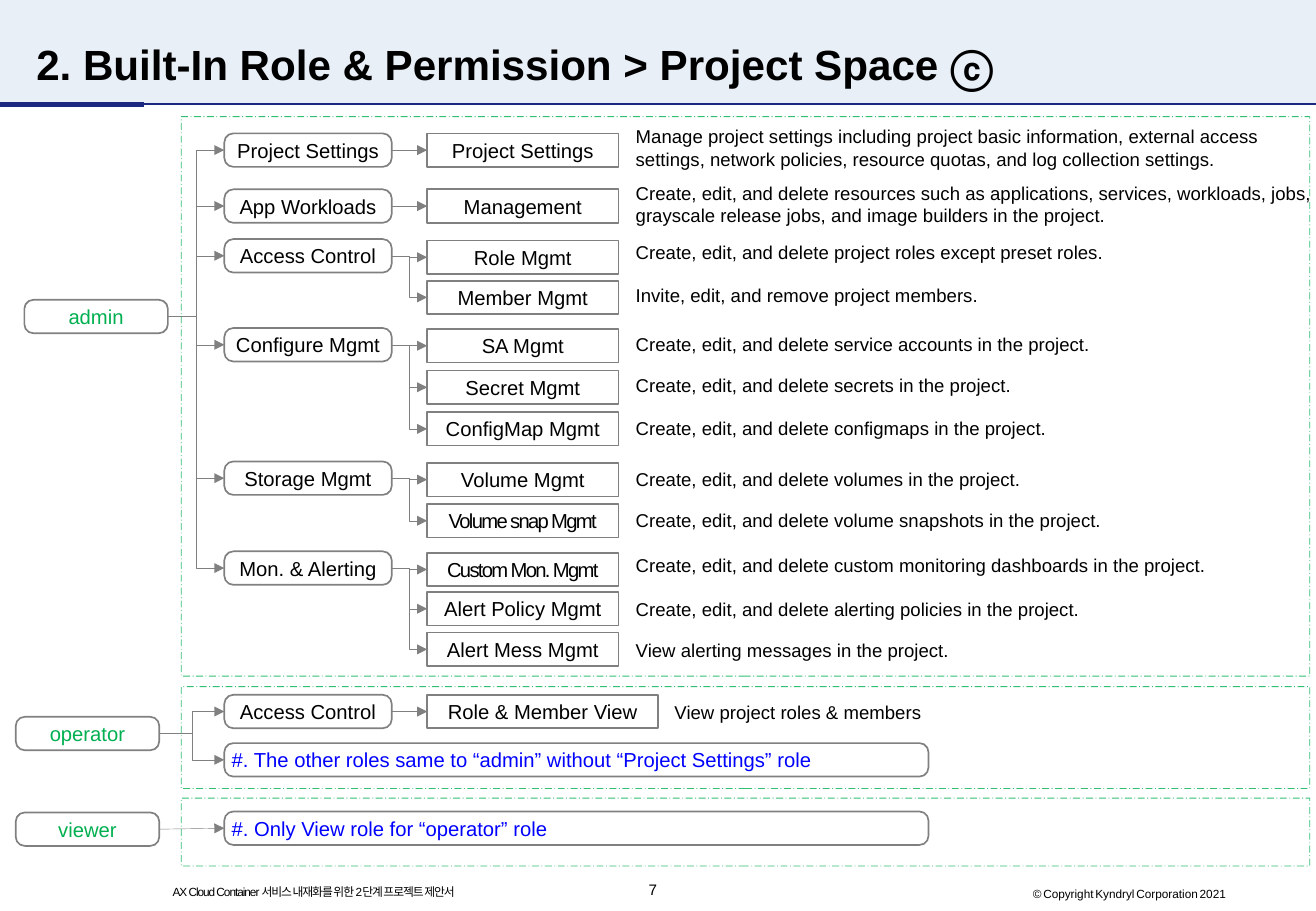
from lxml.etree import SubElement
from pptx import Presentation
from pptx.dml.color import RGBColor
from pptx.enum.dml import MSO_LINE
from pptx.enum.shapes import MSO_CONNECTOR, MSO_SHAPE
from pptx.enum.text import MSO_ANCHOR, PP_ALIGN
from pptx.oxml.ns import qn
from pptx.util import Cm, Pt

COLORS = {
    "ink": "000000", "band": "E9EFF7", "navy": "1C2880",
    "gray": "808080", "green": "00B050", "blue": "0000FF",
}
PAGE_WIDTH, PAGE_HEIGHT = 27.51, 19.05
BAND_HEIGHT = 2.18
BOX_HEIGHT = 0.7
LINE_HEIGHT = 0.47
ROLE_WIDTH = 3
GROUP_LEFT, GROUP_WIDTH = 4.69, 3.5
ACTION_LEFT, ACTION_WIDTH = 8.93, 4
DETAIL_LEFT, DETAIL_WIDTH = 13.29, 14.43
NOTE_WIDTH = 14.72
FRAME_LEFT, FRAME_WIDTH = 3.79, 23.59

ADMIN_GROUPS = [
    ("Project Settings", 2.79, [
        ("Project Settings", 2.79, 2.62, "Manage project settings including project basic information, external "
         "access settings, network policies, resource quotas, and log collection settings."),
    ]),
    ("App Workloads", 3.96, [
        ("Management", 3.96, 3.81, "Create, edit, and delete resources such as applications, services, workloads, "
         "jobs, grayscale release jobs, and image builders in the project."),
    ]),
    ("Access Control", 5, [
        ("Role Mgmt", 5.03, 5.03, "Create, edit, and delete project roles except preset roles."),
        ("Member Mgmt", 5.87, 5.94, "Invite, edit, and remove project members."),
    ]),
    ("Configure Mgmt", 6.86, [
        ("SA Mgmt", 6.88, 6.96, "Create, edit, and delete service accounts in the project."),
        ("Secret Mgmt", 7.75, 7.82, "Create, edit, and delete secrets in the project."),
        ("ConfigMap Mgmt", 8.62, 8.71, "Create, edit, and delete configmaps in the project."),
    ]),
    ("Storage Mgmt", 9.65, [
        ("Volume Mgmt", 9.68, 9.78, "Create, edit, and delete volumes in the project."),
        ("Volume snap Mgmt", 10.54, 10.64, "Create, edit, and delete volume snapshots in the project."),
    ]),
    ("Mon. & Alerting", 11.53, [
        ("Custom Mon. Mgmt", 11.56, 11.58, "Create, edit, and delete custom monitoring dashboards in the project."),
        ("Alert Policy Mgmt", 12.38, 12.5, "Create, edit, and delete alerting policies in the project."),
        ("Alert Mess Mgmt", 13.23, 13.36, "View alerting messages in the project."),
    ]),
]
TIGHT_ACTIONS = ("Volume snap Mgmt", "Custom Mon. Mgmt")
FRAMES = [(2.44, 11.7), (14.36, 2.13), (16.69, 1.42)]


def set_all(target, values):
    for name, value in values.items():
        setattr(target, name, value)


class RolePage:
    font_name = "Arial"

    def __init__(self, deck):
        self.page = deck.slides.add_slide(deck.slide_layouts[6])

    def color(self, name):
        return RGBColor.from_string(COLORS[name])

    def fill_text(self, box, spans, color="ink", inset=0, align=PP_ALIGN.LEFT,
                  anchor=MSO_ANCHOR.MIDDLE, wrap=True, bold=False, spacing=0):
        frame = box.text_frame
        set_all(frame, {"word_wrap": wrap, "vertical_anchor": anchor})
        set_all(frame, {f"margin_{side}": Cm(inset) for side in ("left", "top", "right", "bottom")})
        para = frame.paragraphs[0]
        para.alignment = align
        for text, size in spans:
            span = para.add_run()
            span.text = text
            set_all(span.font, {"name": self.font_name, "size": Pt(size), "bold": bold})
            span.font.color.rgb = self.color(color)
            if spacing:
                span.font._element.set("spc", str(round(spacing * 100)))

    def text(self, left, top, width, height, spans, **style):
        box = self.page.shapes.add_textbox(Cm(left), Cm(top), Cm(width), Cm(height))
        self.fill_text(box, spans, **style)

    def shape(self, kind, left, top, width, height, fill=None, line=None, weight=1):
        box = self.page.shapes.add_shape(kind, Cm(left), Cm(top), Cm(width), Cm(height))
        box.shadow.inherit = False
        if fill:
            box.fill.solid()
            box.fill.fore_color.rgb = self.color(fill)
        else:
            box.fill.background()
        if line:
            box.line.color.rgb = self.color(line)
            box.line.width = Pt(weight)
        else:
            box.line.fill.background()
        return box

    def label(self, left, top, width, text, rounding=0.27, align=PP_ALIGN.CENTER, **style):
        box = self.shape(MSO_SHAPE.ROUNDED_RECTANGLE, left, top, width, BOX_HEIGHT, line="gray")
        box.adjustments[0] = rounding
        self.fill_text(box, [(text, 12)], inset=0.1, align=align, **style)
        return box

    def role(self, left, top, text):
        return self.label(left, top, ROLE_WIDTH, text, color="green")

    def group(self, top, text):
        return self.label(GROUP_LEFT, top, GROUP_WIDTH, text)

    def action(self, top, text, width=ACTION_WIDTH):
        spacing = -1 if text in TIGHT_ACTIONS else 0
        return self.label(ACTION_LEFT, top, width, text, rounding=0, spacing=spacing)

    def note(self, top, text):
        return self.label(GROUP_LEFT, top, NOTE_WIDTH, text, align=PP_ALIGN.LEFT, color="blue")

    def detail(self, top, text, left=DETAIL_LEFT, width=DETAIL_WIDTH):
        height = LINE_HEIGHT * (2 if len(text) > 80 else 1)
        self.text(left, top, width, height, [(text, 11)], anchor=MSO_ANCHOR.TOP)

    def line(self, kind, ends, color, weight):
        link = self.page.shapes.add_connector(kind, *map(Cm, ends))
        link.line.color.rgb = self.color(color)
        link.line.width = Pt(weight)
        SubElement(link._element.spPr, qn("a:effectLst"))
        return link

    def arrow(self, source, target, kind=MSO_CONNECTOR.STRAIGHT):
        link = self.line(kind, (0, 0, 0, 0), "gray", 0.25)
        link.begin_connect(source, 3)
        link.end_connect(target, 1)
        SubElement(link.line._get_or_add_ln(), qn("a:tailEnd"), type="triangle")

    def branch(self, source, targets):
        kind = MSO_CONNECTOR.ELBOW if len(targets) > 1 else MSO_CONNECTOR.STRAIGHT
        for target in targets:
            self.arrow(source, target, kind)

    def frame(self, top, height):
        box = self.shape(MSO_SHAPE.RECTANGLE, FRAME_LEFT, top, FRAME_WIDTH, height, line="green", weight=0.5)
        box.line.dash_style = MSO_LINE.LONG_DASH_DOT
        tint = box.line._get_or_add_ln().find(".//" + qn("a:srgbClr"))
        SubElement(tint, qn("a:alpha"), val="80000")

    def header(self, title):
        self.shape(MSO_SHAPE.RECTANGLE, 0, 0, PAGE_WIDTH, BAND_HEIGHT, fill="band")
        for length, weight in ((PAGE_WIDTH, 1), (ROLE_WIDTH, 3)):
            self.line(MSO_CONNECTOR.STRAIGHT, (0, BAND_HEIGHT, length, BAND_HEIGHT), "navy", weight)
        self.text(0.76, 0.86, 25.98, 0.94, [(title, 25)], bold=True)

    def footer(self):
        self.text(13.56, 18.42, 0.38, 0.38, [("7", 9)], wrap=False)
        self.text(3.61, 18.49, 6.35, 0.3, [("AX Cloud Container 서비스 내재화를 위한 2단계 프로젝트 제안서", 7)],
                  wrap=False, spacing=-0.6)
        spans = [("©", 7)]
        for word in ("Copyright", "Kyndryl", "Corporation", "2021"):
            spans += [(" ", 4), (word, 7)]
        self.text(21.59, 18.54, 4.09, 0.3, spans, wrap=False)

    def admin(self):
        role = self.role(0.51, 6.27, "admin")
        groups = []
        for name, top, entries in ADMIN_GROUPS:
            group = self.group(top, name)
            actions = []
            for action, action_top, detail_top, detail in entries:
                actions.append(self.action(action_top, action))
                self.detail(detail_top, detail)
            self.branch(group, actions)
            groups.append(group)
        self.branch(role, groups)

    def operator(self):
        role = self.role(0.33, 14.99, "operator")
        group = self.group(14.53, "Access Control")
        view = self.action(14.53, "Role & Member View", width=4.83)
        self.detail(14.66, "View project roles & members", left=14.1, width=12.5)
        note = self.note(15.54, "#. The other roles same to “admin” without “Project Settings” role")
        self.branch(role, [group, note])
        self.branch(group, [view])

    def viewer(self):
        role = self.role(0.33, 16.99, "viewer")
        self.branch(role, [self.note(16.97, "#. Only View role for “operator” role")])


def main():
    deck = Presentation()
    set_all(deck, {"slide_width": Cm(PAGE_WIDTH), "slide_height": Cm(PAGE_HEIGHT)})
    page = RolePage(deck)
    page.header("2. Built-In Role & Permission > Project Space ⓒ")
    page.footer()
    page.admin()
    page.operator()
    page.viewer()
    for top, height in FRAMES:
        page.frame(top, height)
    deck.save("out.pptx")


if __name__ == "__main__":
    main()
